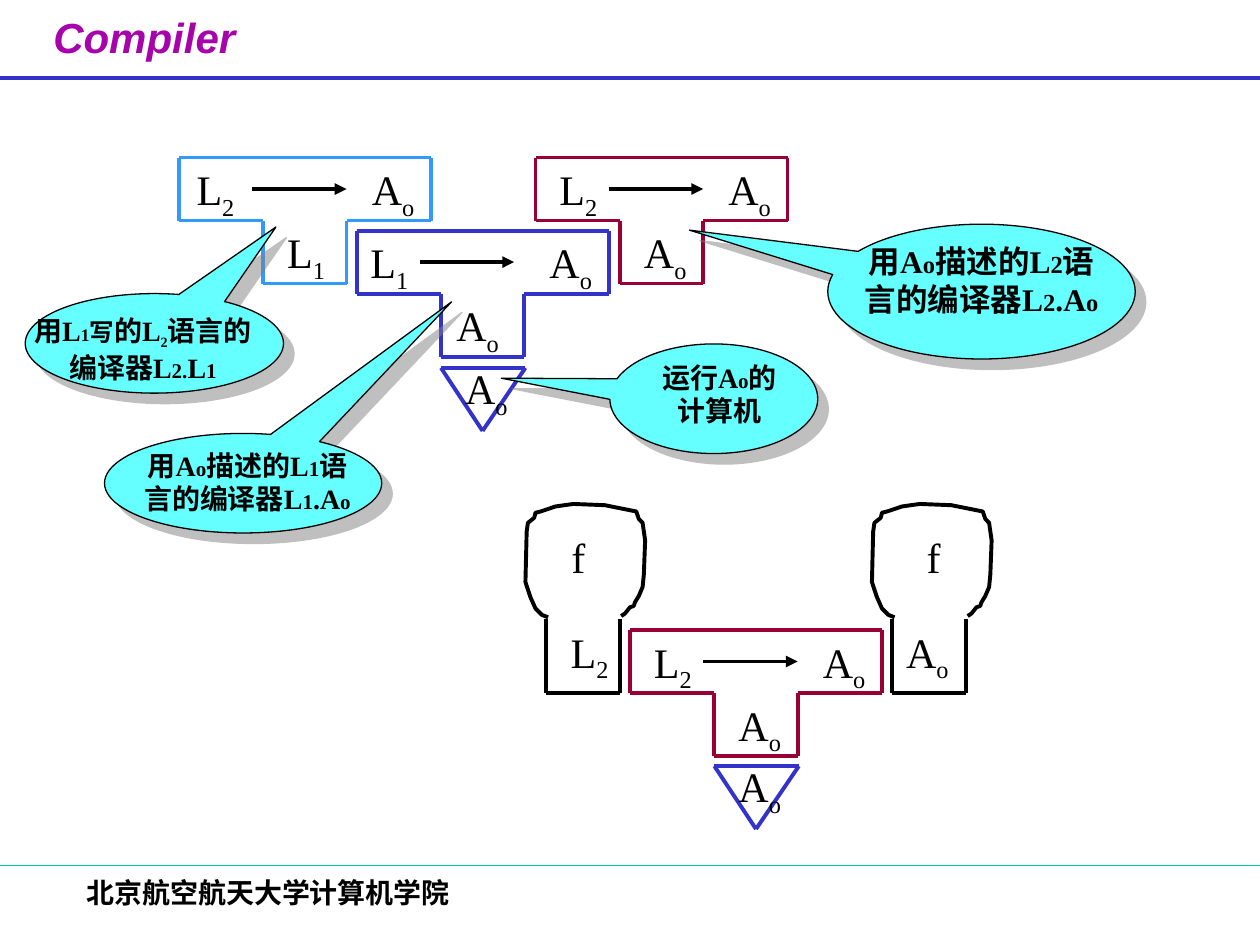
from lxml.etree import SubElement
from pptx import Presentation
from pptx.dml.color import RGBColor
from pptx.enum.shapes import MSO_CONNECTOR as CONNECTOR, MSO_SHAPE as SHAPE
from pptx.enum.text import PP_ALIGN as ALIGN
from pptx.oxml.ns import qn
from pptx.util import Inches, Pt

BLACK = RGBColor(0, 0, 0)
PURPLE = RGBColor(0xA6, 0x03, 0xAB)
BLUE = RGBColor(0x33, 0x33, 0xCC)
SKY = RGBColor(0x33, 0x99, 0xFF)
RED = RGBColor(0x99, 0x00, 0x33)
GREEN = RGBColor(0x00, 0xCC, 0x99)
CYAN = RGBColor(0x66, 0xFF, 0xFF)

# T-diagrams: left, top, colour, (source, target, written in),
# offsets of source centre, base centre and arrow start
COMPILERS = [
    (1.42, 1.25, SKY, ("L2", "Ao", "L1"), 0.29, 1.01, 0.58),
    (2.83, 1.83, BLUE, ("L1", "Ao", "Ao"), 0.26, 0.96, 0.5),
    (4.25, 1.25, RED, ("L2", "Ao", "Ao"), 0.34, 1.03, 0.58),
    (5, 5, RED, ("L2", "Ao", "Ao"), 0.34, 1.03, 0.58),
]
T_OUTLINE = [(0, 0), (2, 0), (2, 0.5), (1.33, 0.5), (1.33, 1), (0.67, 1),
             (0.67, 0.5), (0, 0.5), (0, 0)]

MACHINES = [(3.5, 2.92), (5.67, 6.08)]
MACHINE_OUTLINE = [(0, 0), (0.67, 0), (0.33, 0.5), (0, 0)]

# Programs: left and top of the stem, language, centres of the f and the language
PROGRAMS = [(4.33, 4.91, "L2", 4.59, 4.68), (7.08, 4.91, "Ao", 7.41, 7.36)]
STEM_OUTLINE = [(0, 0), (0, 0.59), (0.59, 0.59), (0.59, 0)]
BULB_OUTLINE = [
    (0.02, -0.01), (-0.03, -0.03), (-0.08, -0.08), (-0.12, -0.17), (-0.15, -0.26),
    (-0.16, -0.29), (-0.15, -0.69), (-0.14, -0.76), (-0.09, -0.8), (-0.08, -0.84),
    (-0.04, -0.85), (0.08, -0.89), (0.22, -0.91), (0.47, -0.9), (0.72, -0.85),
    (0.74, -0.79), (0.77, -0.76), (0.79, -0.62), (0.78, -0.35), (0.77, -0.25),
    (0.74, -0.18), (0.71, -0.13), (0.7, -0.1), (0.67, -0.09), (0.63, -0.04),
    (0.6, -0.02),
]

# Callouts: ellipse box, tail adjustments, text box, margins, runs of (text, size)
CALLOUTS = [
    ((0.2, 2.33, 2.05, 0.79), (0.471, -1.169), (0.27, 2.49, 1.73, 0.56), (0, 0),
     [("用L", 16), ("1", 10), ("写", 14), ("的L", 16), ("2", 14, -25),
      ("语言的编译器L", 16), ("2.", 12), ("L", 16), ("1", 12)]),
    ((0.83, 3.44, 2.2, 0.79), (0.752, -1.822), (0.98, 3.51, 1.97, 0.94), (0.1, 0.05),
     [("用A", 16), ("o", 12), ("描述的L", 16), ("1", 12), ("语言的编译器L", 16),
      ("1", 12), (".A", 16), ("o", 12)]),
    ((6.57, 1.78, 2.44, 1.07), (-0.95, -0.456), (6.74, 1.87, 2.1, 1.36), (0.1, 0.05),
     [("用A", 18), ("o", 14), ("描述的L", 18), ("2", 14), ("语言的编译器L", 18),
      ("2", 14), (".A", 18), ("o", 14)]),
    ((4.84, 2.73, 1.65, 0.87), (-1.022, -0.187), (5.08, 2.81, 1.26, 0.64), (0.1, 0.05),
     [("运行A", 16), ("o", 12), ("的计算机", 16)]),
]


def add_text(slide, box, runs, font="Times New Roman", color=BLACK, bold=False,
             italic=False, align=ALIGN.CENTER, wrap=True, margins=(0.1, 0.05)):
    """Add a text box; each run is (text, size) or (text, size, baseline percent)."""
    frame = slide.shapes.add_textbox(*map(Inches, box)).text_frame
    frame.word_wrap = wrap
    frame.margin_left = frame.margin_right = Inches(margins[0])
    frame.margin_top = frame.margin_bottom = Inches(margins[1])
    paragraph = frame.paragraphs[0]
    paragraph.alignment = align
    for text, size, *baseline in runs:
        run = paragraph.add_run()
        run.text = text
        run.font.size = Pt(size)
        run.font.name = font
        run.font.bold = bold
        run.font.italic = italic
        run.font.color.rgb = color
        if baseline:
            run.font._element.set("baseline", str(baseline[0] * 1000))


def add_label(slide, center, top, name):
    """Add a letter, with the rest of the name as its subscript."""
    runs = [(name[0], 24)]
    if name[1:]:
        runs.append((name[1:], 24, -25))
    add_text(slide, (center - 0.27, top, 0.54, 0.56), runs, wrap=False)


def add_line(slide, start, end, color=BLACK, width=2.25, arrow=False):
    line = slide.shapes.add_connector(CONNECTOR.STRAIGHT, *map(Inches, (*start, *end)))
    line.line.color.rgb = color
    line.line.width = Pt(width)
    properties = line._element.spPr
    if arrow:
        SubElement(properties.find(qn("a:ln")), qn("a:tailEnd"), type="triangle")
    SubElement(properties, qn("a:effectLst"))


def add_outline(slide, left, top, points, color=BLACK):
    placed = [(left + x, top + y) for x, y in points]
    for start, end in zip(placed, placed[1:]):
        add_line(slide, start, end, color)


def add_compiler(slide, left, top, color, names, source_x, base_x, arrow_x):
    add_outline(slide, left, top, T_OUTLINE, color)
    source, target, base = names
    add_label(slide, left + source_x, top, source)
    add_label(slide, left + 1.7, top, target)
    add_label(slide, left + base_x, top + 0.5, base)
    arrow_y = top + 0.25
    add_line(slide, (left + arrow_x, arrow_y), (left + arrow_x + 0.75, arrow_y), arrow=True)


def add_program(slide, left, top, language, f_center, language_center):
    add_outline(slide, left, top, STEM_OUTLINE)
    points = [(Inches(left + x), Inches(top + y)) for x, y in BULB_OUTLINE]
    builder = slide.shapes.build_freeform(*points[0])
    builder.add_line_segments(points[1:], close=False)
    bulb = builder.convert_to_shape()
    bulb.shadow.inherit = False
    bulb.fill.background()
    bulb.line.color.rgb = BLACK
    bulb.line.width = Pt(2.25)
    add_label(slide, f_center, 4.17, "f")
    add_label(slide, language_center, 4.92, language)


def add_callout(slide, box, tail, text_box, margins, runs):
    callout = slide.shapes.add_shape(SHAPE.OVAL_CALLOUT, *map(Inches, box))
    callout.adjustments[0], callout.adjustments[1] = tail
    callout.fill.solid()
    callout.fill.fore_color.rgb = CYAN
    callout.line.color.rgb = BLACK
    callout.line.width = Pt(0.75)
    callout.shadow.inherit = False
    effects = callout._element.spPr.find(qn("a:effectLst"))
    shadow = SubElement(effects, qn("a:outerShdw"), dist=str(Pt(8.5)), dir="2700000",
                        algn="ctr", rotWithShape="0")
    shade = SubElement(shadow, qn("a:srgbClr"), val="808080")
    SubElement(shade, qn("a:alpha"), val="50000")
    add_text(slide, text_box, runs, bold=True, margins=margins)


def main():
    presentation = Presentation()
    presentation.slide_width, presentation.slide_height = Inches(10), Inches(7.5)
    slide = presentation.slides.add_slide(presentation.slide_layouts[6])

    add_text(slide, (0.19, 0.04, 1.91, 0.62), [("Compiler", 24)], font="Arial",
             color=PURPLE, bold=True, italic=True, wrap=False)
    add_line(slide, (0, 0.62), (10, 0.62), BLUE)
    add_text(slide, (0.59, 6.9, 5.65, 0.5), [("北京航空航天大学计算机学院", 16)],
             bold=True, align=ALIGN.LEFT)
    add_line(slide, (0, 6.87), (10, 6.87), GREEN, width=0.75)

    for compiler in COMPILERS:
        add_compiler(slide, *compiler)
    for left, top in MACHINES:
        add_outline(slide, left, top, MACHINE_OUTLINE, BLUE)
        add_label(slide, left + 0.36, top - 0.09, "Ao")
    for program in PROGRAMS:
        add_program(slide, *program)
    for callout in CALLOUTS:
        add_callout(slide, *callout)

    presentation.save("out.pptx")


if __name__ == "__main__":
    main()
